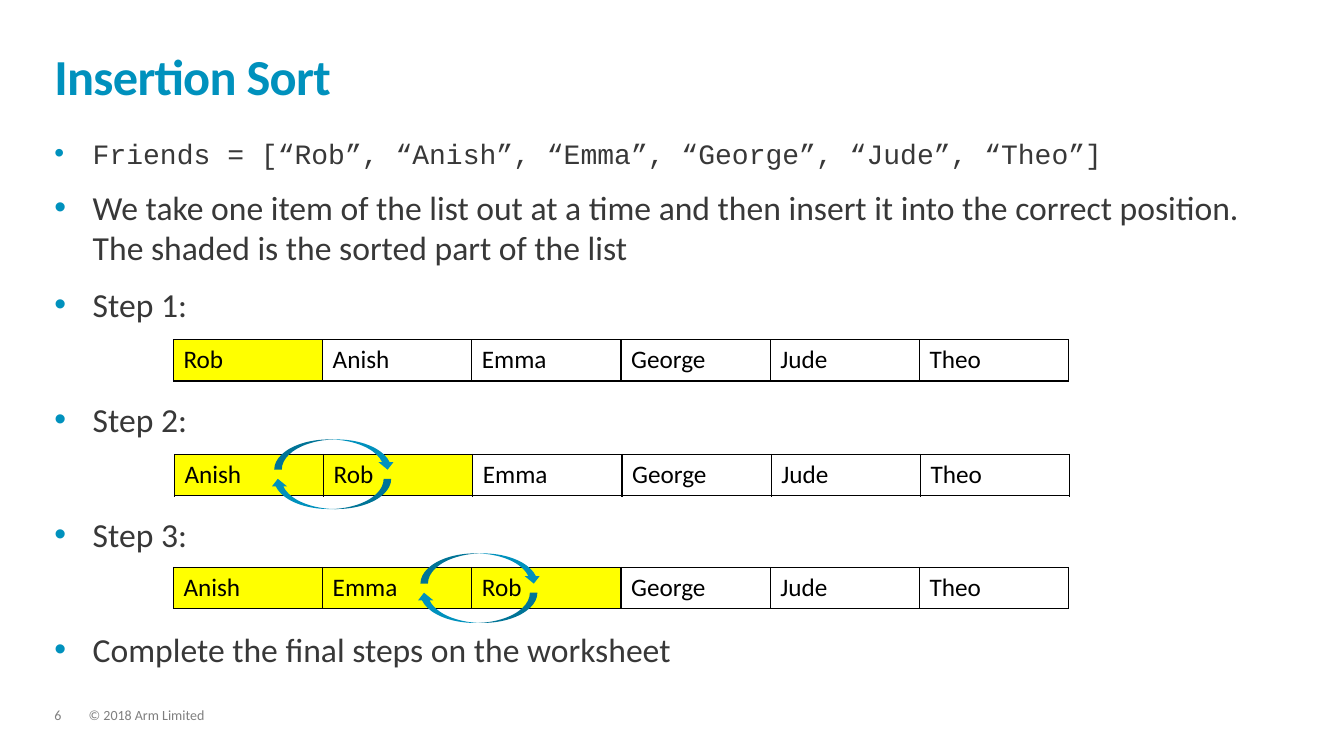
import pptx
import pptx.dml.color
import pptx.enum.shapes
import pptx.enum.text
import pptx.oxml
import pptx.oxml.ns
import pptx.util
from lxml import etree

Inches = pptx.util.Inches
Pt = pptx.util.Pt
RGBColor = pptx.dml.color.RGBColor
ANCHOR = pptx.enum.text.MSO_ANCHOR
qn = pptx.oxml.ns.qn

BLUE = RGBColor(0x00, 0x91, 0xBD)
DARK = RGBColor(0x38, 0x38, 0x38)
GREY = RGBColor(0x7F, 0x7F, 0x7F)
BLACK = RGBColor(0x00, 0x00, 0x00)
YELLOW = RGBColor(0xFF, 0xFF, 0x00)

LEFT, WIDTH = 0.54, 12.23
CELL_W, ROW_H = 1.48, 0.41
ARROW_W, ARROW_H = 1.2, 0.3
GAP, TABLE_GAP = 12, 53.3

BULLETS = [
    ("Friends = [“Rob”, “Anish”, “Emma”, “George”, “Jude”, “Theo”]",
     dict(size=20, font="Courier New")),
    ("We take one item of the list out at a time and then insert it into the "
     "correct position. The shaded is the sorted part of the list", dict(before=GAP)),
    ("Step 1:", dict(before=GAP)),
    ("Step 2:", dict(before=TABLE_GAP)),
    ("Step 3:", dict(before=TABLE_GAP)),
    ("Complete the final steps on the worksheet", dict(before=TABLE_GAP)),
]
STEPS = [
    (1.72, 3.37, ["Rob", "Anish", "Emma", "George", "Jude", "Theo"]),
    (1.73, 4.51, ["Anish", "Rob", "Emma", "George", "Jude", "Theo"]),
    (1.72, 5.63, ["Anish", "Emma", "Rob", "George", "Jude", "Theo"]),
]
SWAPS = [(2.68, 4.36), (4.13, 5.49)]


def write(p, text, size=24, font="Calibri", color=DARK, bold=False,
          before=0, line=1.0, spacing=None, bullet=False):
    if bullet:
        pPr = p._p.get_or_add_pPr()
        pPr.set("marL", str(Inches(0.38)))
        pPr.set("indent", str(-Inches(0.38)))
        clr = etree.SubElement(pPr, qn("a:buClr"))
        etree.SubElement(clr, qn("a:srgbClr"), val=str(BLUE))
        etree.SubElement(pPr, qn("a:buFont"), typeface="Arial")
        etree.SubElement(pPr, qn("a:buChar"), char="•")
    p.space_before = Pt(before)
    p.line_spacing = line
    r = p.add_run()
    r.text = text
    r.font.size = Pt(size)
    r.font.name = font
    r.font.bold = bold
    r.font.color.rgb = color
    if spacing is not None:
        r._r.get_or_add_rPr().set("spc", str(round(spacing * 100)))


def add_box(s, x, y, w, h, anchor=ANCHOR.TOP):
    tf = s.shapes.add_textbox(Inches(x), Inches(y), Inches(w), Inches(h)).text_frame
    tf.word_wrap = True
    tf.vertical_anchor = anchor
    tf.margin_left = tf.margin_right = tf.margin_top = tf.margin_bottom = 0
    return tf


def add_title(s, x, y, w, h):
    tf = add_box(s, x, y, w, h, ANCHOR.BOTTOM)
    write(tf.paragraphs[0], "Insertion Sort", size=36, color=BLUE, bold=True,
          line=0.85, spacing=-0.5)


def add_body(s, x, y, w, h):
    tf = add_box(s, x, y, w, h)
    for i, (text, style) in enumerate(BULLETS):
        p = tf.add_paragraph() if i else tf.paragraphs[0]
        write(p, text, bullet=True, **style)


def add_footer(s, x, y, w, h):
    number_w = 0.34
    for left, width, text in [(x, number_w, "6"),
                              (x + number_w, w - number_w, "© 2018 Arm Limited")]:
        tf = add_box(s, left, y, width, h)
        write(tf.paragraphs[0], text, size=10, color=GREY, line=0.9)


def add_borders(cell):
    tcPr = cell._tc.get_or_add_tcPr()
    for side in ("lnL", "lnR", "lnT", "lnB"):
        ln = etree.SubElement(tcPr, qn("a:" + side), w=str(Pt(1)))
        fill = etree.SubElement(ln, qn("a:solidFill"))
        etree.SubElement(fill, qn("a:srgbClr"), val=str(BLACK))


def add_step(s, x, y, names, sorted_count):
    w = CELL_W * len(names)
    table = s.shapes.add_table(1, len(names), Inches(x), Inches(y),
                               Inches(w), Inches(ROW_H)).table
    table.first_row = table.horz_banding = False
    for i, name in enumerate(names):
        table.columns[i].width = Inches(CELL_W)
        cell = table.cell(0, i)
        add_borders(cell)
        if i < sorted_count:
            cell.fill.solid()
            cell.fill.fore_color.rgb = YELLOW
        else:
            cell.fill.background()
        write(cell.text_frame.paragraphs[0], name, size=18, color=BLACK)


def add_swap(s, x, y):
    for dx, dy, angle in [(0.04, 0, 0), (0, 0.39, 180)]:
        sp = s.shapes.add_shape(pptx.enum.shapes.MSO_SHAPE.CURVED_DOWN_ARROW,
                                Inches(x + dx), Inches(y + dy),
                                Inches(ARROW_W), Inches(ARROW_H))
        sp.rotation = angle
        sp.shadow.inherit = False
        sp.fill.solid()
        sp.fill.fore_color.rgb = BLUE
        sp.line.fill.background()


def main():
    prs = pptx.Presentation()
    prs.slide_width, prs.slide_height = Inches(13.33), Inches(7.5)
    s = prs.slides.add_slide(prs.slide_layouts[6])
    add_footer(s, LEFT, 7.03, 9.47, 0.15)
    add_title(s, LEFT, 0.32, WIDTH, 0.73)
    add_body(s, LEFT, 1.35, WIDTH, 5.03)
    for count, (x, y, names) in enumerate(STEPS, 1):
        add_step(s, x, y, names, count)
    for x, y in SWAPS:
        add_swap(s, x, y)
    prs.save("out.pptx")


if __name__ == "__main__":
    main()
